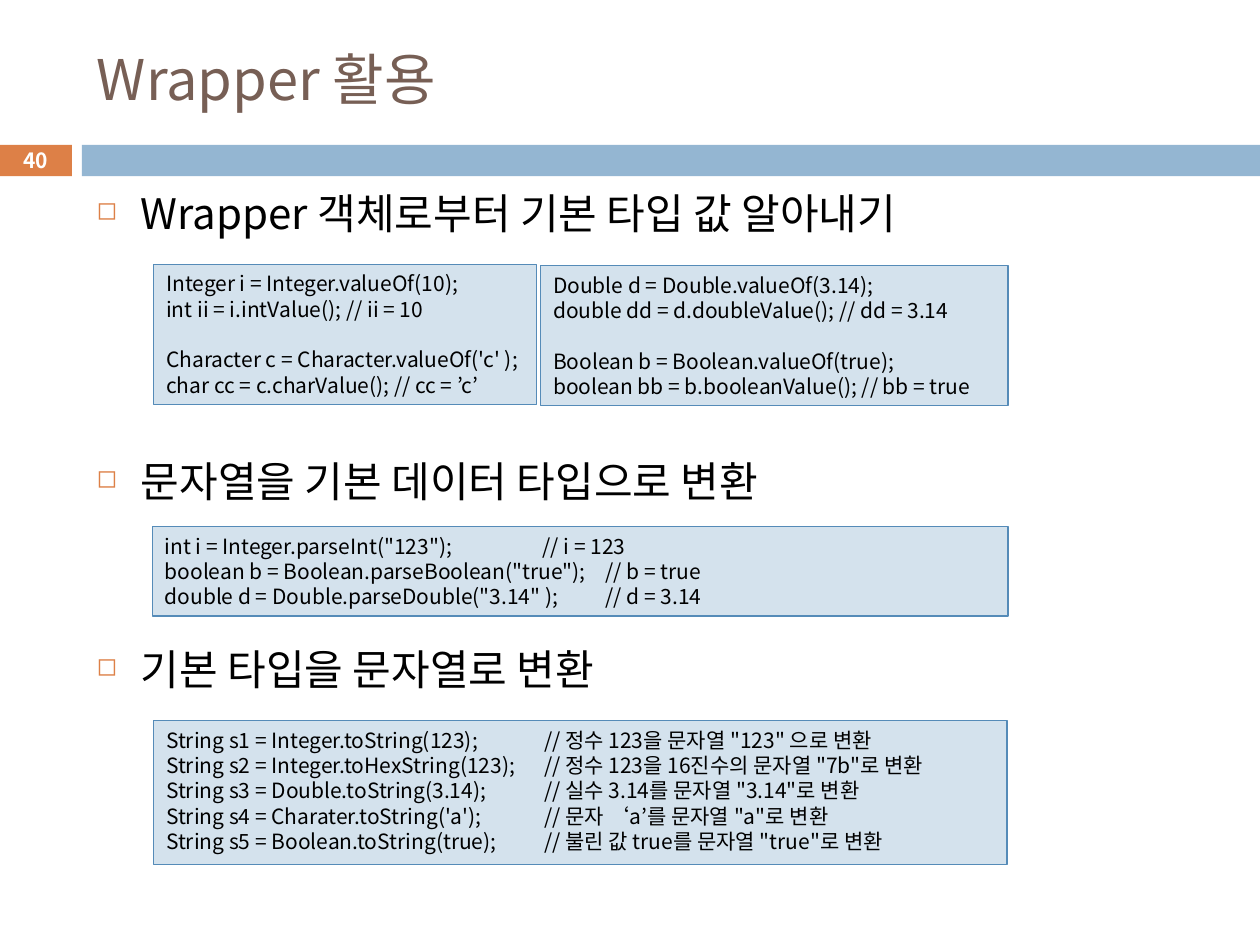
import pptx
import pptx.dml.color
import pptx.enum.shapes
import pptx.enum.text
import pptx.oxml
import pptx.oxml.ns
import pptx.util
from pptx.util import Cm

FONT = "Noto Sans CJK KR"
ALIGN = pptx.enum.text.PP_ALIGN
ANCHOR = pptx.enum.text.MSO_ANCHOR


def color(value):
    return pptx.dml.color.RGBColor.from_string(value)


class SlideBuilder:
    ORANGE = "DD8047"
    BLUE = "94B6D2"
    BROWN = "775F55"
    CODE_FILL = "D4E2ED"
    CODE_LINE = "558BB8"
    BLACK = "000000"
    WHITE = "FFFFFF"

    def __init__(self, presentation):
        self.slide = presentation.slides.add_slide(presentation.slide_layouts[5])

    def format_paragraph(self, paragraph, size, text_color, bold=False, align=ALIGN.LEFT):
        paragraph.alignment = align
        font = paragraph.font
        font.size = pptx.util.Pt(size)
        font.bold = bold
        font.name = FONT
        font.color.rgb = color(text_color)
        # Hangul takes its typeface from the East Asian font slot.
        east_asian = pptx.oxml.parse_xml(
            f'<a:ea {pptx.oxml.ns.nsdecls("a")} typeface="{FONT}"/>')
        font._element.append(east_asian)

    def title(self, text, left, top, width, height):
        shape = self.slide.shapes.title
        shape.left, shape.top, shape.width, shape.height = left, top, width, height
        frame = shape.text_frame
        frame.text = text
        frame.vertical_anchor = ANCHOR.MIDDLE
        self.format_paragraph(frame.paragraphs[0], 32, self.BROWN)

    def rectangle(self, left, top, width, height, fill, line=None):
        shape = self.slide.shapes.add_shape(
            pptx.enum.shapes.MSO_SHAPE.RECTANGLE, left, top, width, height)
        shape.shadow.inherit = False
        shape.fill.solid()
        shape.fill.fore_color.rgb = color(fill)
        if line:
            shape.line.color.rgb = color(line)
            shape.line.width = pptx.util.Pt(0.75)
        else:
            shape.line.fill.background()
        return shape

    def number_box(self, number, left, top, width, height):
        frame = self.rectangle(left, top, width, height, self.ORANGE).text_frame
        frame.margin_top = frame.margin_bottom = 0
        frame.vertical_anchor = ANCHOR.MIDDLE
        frame.text = number
        self.format_paragraph(frame.paragraphs[0], 12, self.WHITE, True, ALIGN.CENTER)

    def code_box(self, groups, left, top, width, height):
        """Draw groups of code lines, one line of space between groups."""
        line_height = pptx.util.Pt(14.5)
        shape = self.rectangle(left, top, width, height, self.CODE_FILL, self.CODE_LINE)
        frame = shape.text_frame
        frame.word_wrap = True
        frame.vertical_anchor = ANCHOR.TOP
        frame.text = "\n".join(line for group in groups for line in group)
        starts = [group[0] for group in groups[1:]]
        for paragraph in frame.paragraphs:
            paragraph.line_spacing = line_height
            if paragraph.text in starts:
                paragraph.space_before = line_height
            self.format_paragraph(paragraph, 12, self.BLACK)

    def bullets(self, items, left, top, width, height):
        """Draw (text, points of space before) pairs as a bulleted list."""
        frame = self.slide.shapes.add_textbox(left, top, width, height).text_frame
        frame.word_wrap = True
        frame.text = "\n".join(text for text, _ in items)
        for paragraph, (_, space) in zip(frame.paragraphs, items):
            paragraph.line_spacing = pptx.util.Pt(29)
            if space:
                paragraph.space_before = pptx.util.Pt(space)
            properties = paragraph._p.get_or_add_pPr()
            properties.set("marL", str(Cm(0.89)))
            properties.set("indent", str(Cm(-0.89)))
            for element in (f'buClr {{}}><a:srgbClr val="{self.ORANGE}"/></a:buClr>',
                            'buSzPct {} val="60000"/>',
                            'buChar {} char="◻"/>'):
                properties.append(pptx.oxml.parse_xml(
                    "<a:" + element.format(pptx.oxml.ns.nsdecls("a"))))
            self.format_paragraph(paragraph, 24, self.BLACK)


def main():
    presentation = pptx.Presentation()
    presentation.slide_width, presentation.slide_height = Cm(25.4), Cm(19.05)
    builder = SlideBuilder(presentation)

    builder.number_box("40", Cm(0), Cm(2.92), Cm(1.45), Cm(0.63))
    builder.rectangle(Cm(1.65), Cm(2.92), Cm(23.75), Cm(0.63), builder.BLUE)
    builder.title("Wrapper 활용", Cm(1.7), Cm(0.64), Cm(22.66), Cm(1.88))
    builder.bullets([
        ("Wrapper 객체로부터 기본 타입 값 알아내기", 0),
        ("문자열을 기본 데이터 타입으로 변환", 124),
        ("기본 타입을 문자열로 변환", 78.5),
    ], Cm(1.7), Cm(3.65), Cm(22.66), Cm(15.4))

    builder.code_box([
        ["Integer i = Integer.valueOf(10);",
         "int ii = i.intValue(); // ii = 10"],
        ["Character c = Character.valueOf('c' );",
         "char cc = c.charValue(); // cc = ’c’"],
    ], Cm(3.1), Cm(5.33), Cm(7.72), Cm(2.82))
    builder.code_box([
        ["Double d = Double.valueOf(3.14);",
         "double dd = d.doubleValue(); // dd = 3.14"],
        ["Boolean b = Boolean.valueOf(true);",
         "boolean bb = b.booleanValue(); // bb = true"],
    ], Cm(10.9), Cm(5.36), Cm(9.42), Cm(2.82))
    builder.code_box([[
        'int i = Integer.parseInt("123"); \t\t// i = 123',
        'boolean b = Boolean.parseBoolean("true"); \t// b = true',
        'double d = Double.parseDouble("3.14" ); \t// d = 3.14',
    ]], Cm(3.07), Cm(10.62), Cm(17.25), Cm(1.8))
    builder.code_box([[
        'String s1 = Integer.toString(123); \t// 정수 123을 문자열 "123" 으로 변환',
        'String s2 = Integer.toHexString(123); \t// 정수 123을 16진수의 문자열 "7b"로 변환',
        'String s3 = Double.toString(3.14); \t// 실수 3.14를 문자열 "3.14"로 변환',
        "String s4 = Charater.toString('a'); \t// 문자 ‘a’를 문자열 \"a\"로 변환",
        'String s5 = Boolean.toString(true); \t// 불린 값 true를 문자열 "true"로 변환',
    ]], Cm(3.1), Cm(14.53), Cm(17.2), Cm(2.9))

    presentation.save("out.pptx")


if __name__ == "__main__":
    main()
